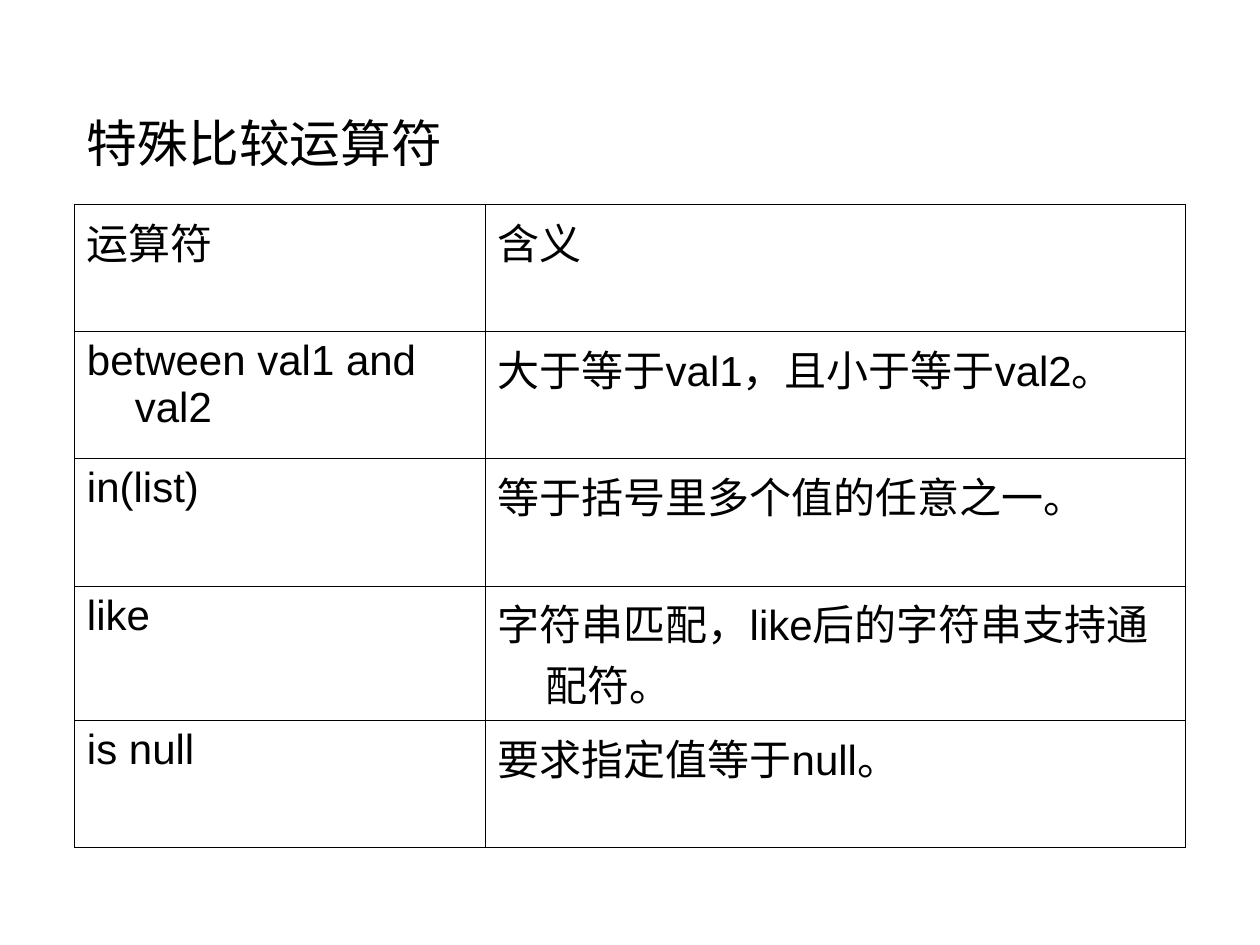
import pptx
import pptx.dml.color
import pptx.enum.text
import pptx.oxml
import pptx.oxml.ns
import pptx.util
from pptx.util import Inches

TITLE = "特殊比较运算符"
OPERATORS = [
    ("运算符", "含义"),
    ("between val1 and val2", "大于等于val1，且小于等于val2。"),
    ("in(list)", "等于括号里多个值的任意之一。"),
    ("like", "字符串匹配，like后的字符串支持通配符。"),
    ("is null", "要求指定值等于null。"),
]

THEME = {
    "ink": "000000",
    "title_font": "Calibri", "title_size": 29,
    "body_font": "Arial", "body_size": 24,
    "border_width": 0.45,
}
LEFT = 0.59
TABLE_TOP = 1.62
COLUMN_WIDTHS = (3.26, 5.56)
ROW_HEIGHT = 1.01
HANGING_INDENT = 0.38


def add_run(paragraph, text, role):
    run = paragraph.add_run()
    run.text = text
    run.font.name = THEME[role + "_font"]
    run.font.size = pptx.util.Pt(THEME[role + "_size"])
    run.font.bold = False
    run.font.color.rgb = pptx.dml.color.RGBColor.from_string(THEME["ink"])


def set_borders(cell):
    """Draw all four edges; line elements must precede the fill in tcPr."""
    properties = cell._tc.get_or_add_tcPr()
    width = pptx.util.Pt(THEME["border_width"])
    for position, edge in enumerate(("lnL", "lnR", "lnT", "lnB")):
        properties.insert(position, pptx.oxml.parse_xml(
            f'<a:{edge} {pptx.oxml.ns.nsdecls("a")} w="{width}"><a:solidFill>'
            f'<a:srgbClr val="{THEME["ink"]}"/></a:solidFill></a:{edge}>'))


def add_title(slide):
    title = slide.shapes.title
    title.left, title.top = Inches(LEFT), Inches(0.91)
    title.width, title.height = Inches(7), Inches(0.5)
    frame = title.text_frame
    frame.auto_size = pptx.enum.text.MSO_AUTO_SIZE.NONE
    frame.vertical_anchor = pptx.enum.text.MSO_ANCHOR.MIDDLE
    paragraph = frame.paragraphs[0]
    paragraph.alignment = pptx.enum.text.PP_ALIGN.LEFT
    paragraph.line_spacing = 0.9
    add_run(paragraph, TITLE, "title")


def fill_cell(cell, text):
    cell.margin_left = cell.margin_right = Inches(0.1)
    cell.margin_top = cell.margin_bottom = Inches(0.05)
    cell.fill.background()
    set_borders(cell)
    paragraph = cell.text_frame.paragraphs[0]
    indent = Inches(HANGING_INDENT)
    paragraph_properties = paragraph._p.get_or_add_pPr()
    paragraph_properties.set("marL", str(indent))
    paragraph_properties.set("indent", str(-indent))
    add_run(paragraph, text, "body")


def add_operator_table(slide):
    table = slide.shapes.add_table(
        len(OPERATORS), len(COLUMN_WIDTHS), Inches(LEFT), Inches(TABLE_TOP),
        Inches(sum(COLUMN_WIDTHS)), Inches(ROW_HEIGHT * len(OPERATORS))).table
    table.first_row = table.horz_banding = False
    for column, width in zip(table.columns, COLUMN_WIDTHS):
        column.width = Inches(width)
    for row, texts in zip(table.rows, OPERATORS):
        row.height = Inches(ROW_HEIGHT)
        for cell, text in zip(row.cells, texts):
            fill_cell(cell, text)


def main():
    deck = pptx.Presentation()
    deck.slide_width, deck.slide_height = Inches(10), Inches(7.5)
    slide = deck.slides.add_slide(deck.slide_layouts.get_by_name("Title Only"))
    add_title(slide)
    add_operator_table(slide)
    deck.save("out.pptx")


if __name__ == "__main__":
    main()
